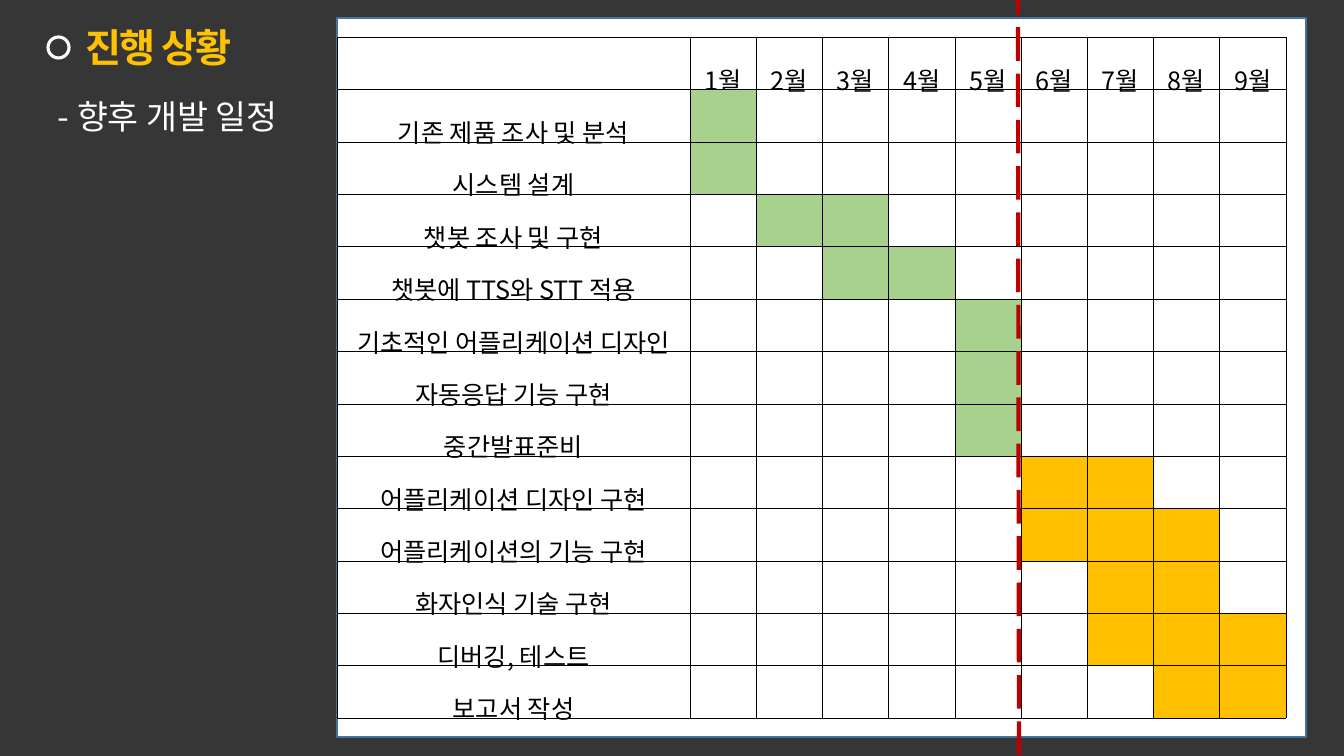
from lxml.etree import SubElement
from pptx import Presentation
from pptx.dml.color import RGBColor
from pptx.enum.dml import MSO_LINE
from pptx.enum.shapes import MSO_CONNECTOR, MSO_SHAPE
from pptx.enum.text import MSO_ANCHOR, MSO_AUTO_SIZE, PP_ALIGN
from pptx.oxml.ns import qn
from pptx.util import Emu, Pt

SLATE, WHITE, BLACK = "363636", "FFFFFF", "000000"
AMBER, GREEN, RED, BLUE = "FFC202", "A9D18E", "C00000", "43739E"
PLANNED = "FFC000"
KOREAN = "Noto Sans CJK KR"

MONTHS = [f"{month}월" for month in range(1, 10)]
SCHEDULE = [
    ("기존 제품 조사 및 분석", 1, 1, GREEN),
    ("시스템 설계", 1, 1, GREEN),
    ("챗봇 조사 및 구현", 2, 3, GREEN),
    ("챗봇에 TTS와 STT 적용", 3, 4, GREEN),
    ("기초적인 어플리케이션 디자인", 5, 5, GREEN),
    ("자동응답 기능 구현", 5, 5, GREEN),
    ("중간발표준비", 5, 5, GREEN),
    ("어플리케이션 디자인 구현", 6, 7, PLANNED),
    ("어플리케이션의 기능 구현", 6, 8, PLANNED),
    ("화자인식 기술 구현", 7, 8, PLANNED),
    ("디버깅, 테스트", 7, 9, PLANNED),
    ("보고서 작성", 8, 9, PLANNED),
]


def px(length):
    return Emu(round(length * 914400 / 100.8))


def color(code):
    return RGBColor.from_string(code)


class ScheduleSlide:
    """Draws the elements of a schedule slide in one shared style."""

    def __init__(self, presentation, background):
        self.slide = presentation.slides.add_slide(presentation.slide_layouts[6])
        self.shapes = self.slide.shapes
        self.slide.background.fill.solid()
        self.slide.background.fill.fore_color.rgb = color(background)

    def style(self, paragraph, size, tint, face=KOREAN, bold=False, spacing=0):
        font = paragraph.font
        font.size, font.bold, font.name = Pt(size), bold, face
        font.color.rgb = color(tint)
        properties = paragraph._p.pPr.find(qn("a:defRPr"))
        SubElement(properties, qn("a:ea")).set("typeface", face)
        if spacing:
            properties.set("spc", str(round(spacing * 100)))

    def shape(self, kind, left, top, width, height, outline, weight, fill=None):
        shape = self.shapes.add_shape(kind, px(left), px(top), px(width), px(height))
        shape.shadow.inherit = False
        if fill:
            shape.fill.solid()
            shape.fill.fore_color.rgb = color(fill)
        else:
            shape.fill.background()
        shape.line.color.rgb = color(outline)
        shape.line.width = Pt(weight)

    def text(self, words, left, top, width, height, align=PP_ALIGN.LEFT, **style):
        frame = self.shapes.add_textbox(px(left), px(top), px(width), px(height)).text_frame
        frame.word_wrap = False
        frame.auto_size = MSO_AUTO_SIZE.SHAPE_TO_FIT_TEXT
        paragraph = frame.paragraphs[0]
        paragraph.text, paragraph.alignment = words, align
        self.style(paragraph, **style)

    def cell(self, cell, words="", fill=None):
        properties = cell._tc.get_or_add_tcPr()
        for side in ("lnL", "lnR", "lnT", "lnB"):
            border = SubElement(properties, qn(f"a:{side}"), w=str(Pt(0.28)))
            paint = SubElement(border, qn("a:solidFill"))
            SubElement(paint, qn("a:srgbClr"), val=BLACK)
        if fill:
            cell.fill.solid()
            cell.fill.fore_color.rgb = color(fill)
        else:
            cell.fill.background()
        if words:
            cell.vertical_anchor = MSO_ANCHOR.MIDDLE
            cell.margin_left = cell.margin_right = px(7)
            cell.margin_top = cell.margin_bottom = px(2)
            paragraph = cell.text_frame.paragraphs[0]
            paragraph.text, paragraph.alignment = words, PP_ALIGN.CENTER
            paragraph.line_spacing = 1.6
            self.style(paragraph, 18, BLACK)

    def gantt(self, left, top, width, height, task_width):
        rows, columns = len(SCHEDULE) + 1, len(MONTHS) + 1
        table = self.shapes.add_table(
            rows, columns, px(left), px(top), px(width), px(height)).table
        table.first_row = table.horz_banding = False
        for index, column in enumerate(table.columns):
            column.width = px((width - task_width) / len(MONTHS) if index else task_width)
        for row in table.rows:
            row.height = px(height / rows)
        for index, heading in enumerate([""] + MONTHS):
            self.cell(table.cell(0, index), heading)
        for row, (task, first, last, tint) in enumerate(SCHEDULE, 1):
            self.cell(table.cell(row, 0), task)
            for month in range(1, columns):
                self.cell(table.cell(row, month), fill=tint if first <= month <= last else None)

    def dashed_line(self, x1, y1, x2, y2, tint, weight):
        line = self.shapes.add_connector(MSO_CONNECTOR.STRAIGHT, px(x1), px(y1), px(x2), px(y2))
        line.line.color.rgb = color(tint)
        line.line.width = Pt(weight)
        line.line.dash_style = MSO_LINE.LONG_DASH
        SubElement(line._element.spPr, qn("a:effectLst"))


def main():
    presentation = Presentation()
    presentation.slide_width, presentation.slide_height = px(1344), px(756)
    page = ScheduleSlide(presentation, SLATE)
    page.shape(MSO_SHAPE.RECTANGLE, 337, 18, 969, 719, BLUE, 1, WHITE)
    page.text("진행 상황", 70, 18, 177, 58, PP_ALIGN.CENTER,
              size=28, tint=AMBER, face="Arial", bold=True, spacing=-1.5)
    page.shape(MSO_SHAPE.OVAL, 48, 37, 21, 21, WHITE, 2.25)
    page.text("- 향후 개발 일정", 48, 91, 252, 50, size=24, tint=WHITE)
    page.gantt(337, 37, 949, 680, task_width=353)
    page.dashed_line(1019, 755, 1018, -1, RED, 3)
    presentation.save("out.pptx")


if __name__ == "__main__":
    main()
